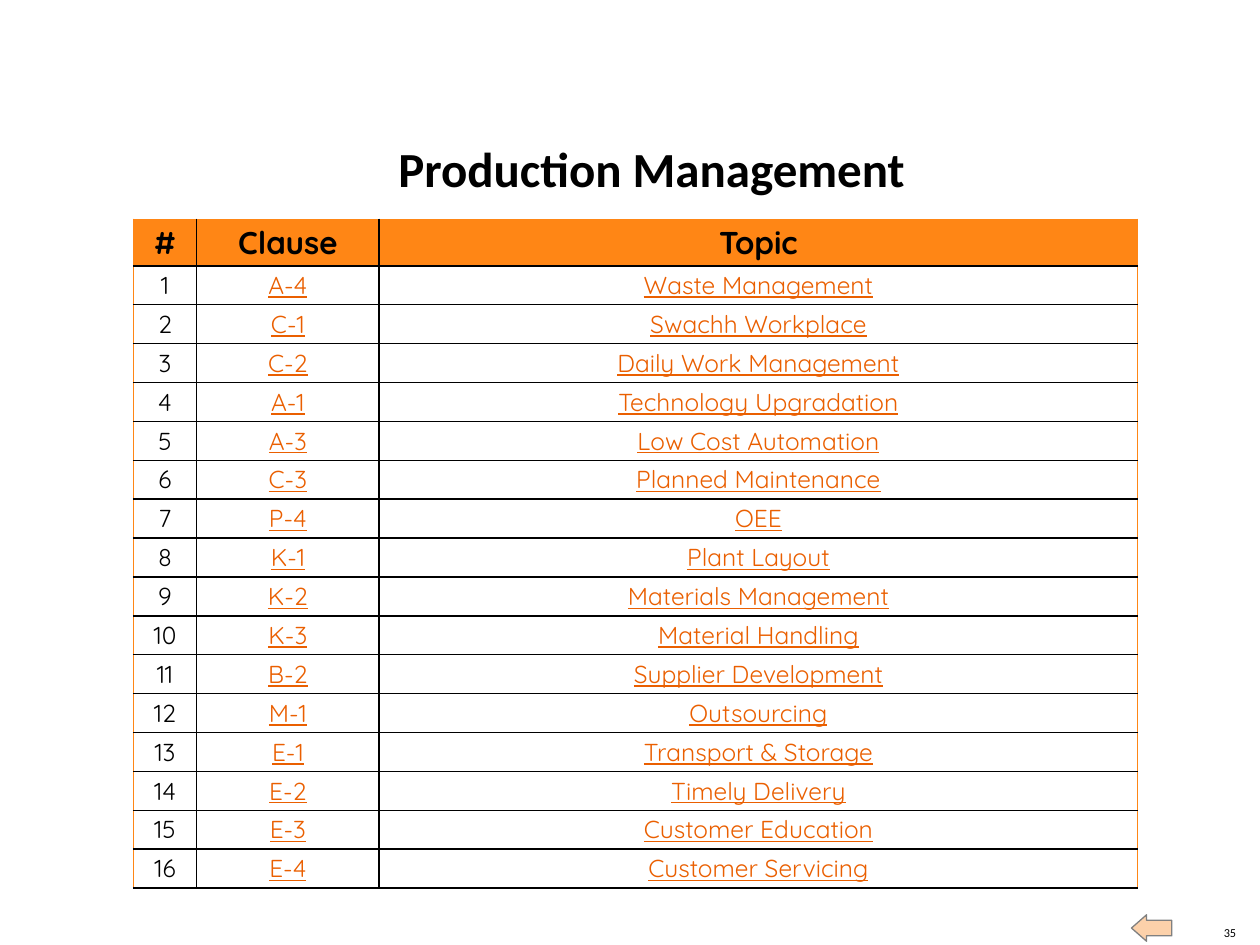
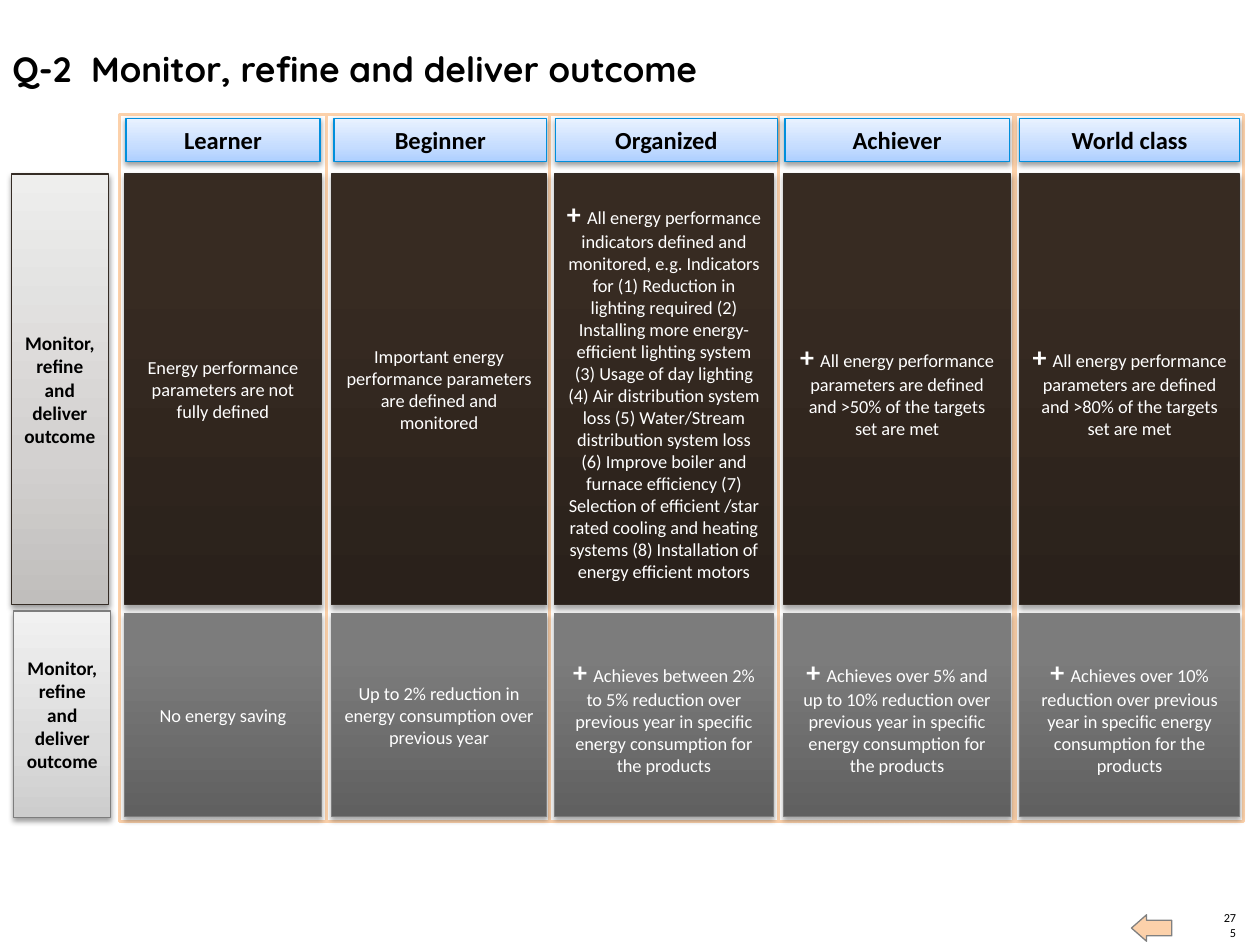
from dataclasses import dataclass

from pptx import Presentation
from pptx.dml.color import RGBColor
from pptx.enum.shapes import MSO_SHAPE as Preset
from pptx.enum.text import MSO_ANCHOR as Anchor, PP_ALIGN as Align
from pptx.oxml import parse_xml
from pptx.oxml.ns import nsdecls, qn
from pptx.util import Emu, Pt

PX = 9144  # one px is a hundredth of an inch


@dataclass(frozen=True)
class Theme:
    body_font: str = "Calibri"
    display_font: str = "Quicksand"
    black: str = "000000"
    white: str = "FFFFFF"
    orange: str = "FF8615"
    link: str = "EA5F00"
    peach: str = "FCD1AA"
    arrow_line: str = "808080"
    blue_line: str = "008FDC"
    brown_line: str = "352C25"
    gray_line: str = "7D7D7D"
    # gradients run from bottom to top: (percent, colour)
    blue: tuple = ((0, "AECFFF"), (35, "C6DDFF"), (100, "E9F2FF"))
    brown: tuple = ((0, "2A211B"), (80, "372B22"), (100, "372B22"))
    brown_pale: tuple = ((0, "C0BEBC"), (35, "D3D1D0"), (100, "EEEEED"))
    gray: tuple = ((0, "606060"), (80, "7C7C7C"), (100, "7D7D7D"))
    gray_pale: tuple = ((0, "CDCDCD"), (35, "DBDBDB"), (100, "F1F1F1"))
    # shadows: (opacity percent, distance in EMU)
    soft_shadow: tuple = (38, 20000)
    card_shadow: tuple = (35, 23000)
    title_size: float = 28
    clause_size: float = 20
    table_head_size: float = 18
    plus_size: float = 16
    table_size: float = 14
    level_size: float = 14
    side_size: float = 11
    card_size: float = 10.5
    page_size: float = 7


theme = Theme()


def write(frame, text, *, size, font=theme.body_font, color=theme.black, bold=False,
          underline=False, align=Align.CENTER, anchor=Anchor.MIDDLE, inset=None):
    """Fill a text frame with one paragraph; a leading "+ " becomes a large bold run."""
    frame.word_wrap = True
    frame.vertical_anchor = anchor
    if inset is not None:
        frame.margin_left = frame.margin_right = Emu(inset * PX)
        frame.margin_top = frame.margin_bottom = Emu(inset * PX)
    paragraph = frame.paragraphs[0]
    paragraph.alignment = align
    runs = [(text, size, bold)]
    if text.startswith("+ "):
        runs = [("+ ", theme.plus_size, True), (text[2:], size, bold)]
    for run_text, run_size, run_bold in runs:
        run = paragraph.add_run()
        run.text = run_text
        run.font.name = font
        run.font.size = Pt(run_size)
        run.font.bold = run_bold
        run.font.underline = underline
        run.font.color.rgb = RGBColor.from_string(color)


def add_box(slide, box, fill, line=None, line_width=0.75, shadow=None, preset=Preset.RECTANGLE):
    """Add a shape whose fill is one colour or a tuple of gradient stops."""
    shape = slide.shapes.add_shape(preset, *[Emu(value * PX) for value in box])
    shape.shadow.inherit = False
    properties = shape.element.spPr
    if isinstance(fill, str):
        shape.fill.solid()
        shape.fill.fore_color.rgb = RGBColor.from_string(fill)
    else:
        stops = "".join(f'<a:gs pos="{percent * 1000}"><a:srgbClr val="{color}"/></a:gs>'
                        for percent, color in fill)
        properties.find(qn("a:prstGeom")).addnext(parse_xml(
            f'<a:gradFill {nsdecls("a")} rotWithShape="1"><a:gsLst>{stops}</a:gsLst>'
            '<a:lin ang="16200000" scaled="0"/></a:gradFill>'))
    if line:
        shape.line.color.rgb = RGBColor.from_string(line)
        shape.line.width = Pt(line_width)
    else:
        shape.line.fill.background()
    if shadow:
        opacity, distance = shadow
        properties.find(qn("a:effectLst")).append(parse_xml(
            f'<a:outerShdw {nsdecls("a")} blurRad="40000" dist="{distance}" dir="5400000" '
            f'rotWithShape="0"><a:srgbClr val="{theme.black}"><a:alpha val="{opacity * 1000}"/>'
            '</a:srgbClr></a:outerShdw>'))
    return shape


presentation = Presentation()
presentation.slide_width = Emu(1000 * PX)
presentation.slide_height = Emu(750 * PX)

# Shared footer: page number and back arrow
slides = []
for page_number in ("35", "275"):
    slide = presentation.slides.add_slide(presentation.slide_layouts[6])
    page_box = slide.shapes.add_textbox(*[Emu(value * PX) for value in (969, 734, 12, 12)])
    write(page_box.text_frame, page_number, size=theme.page_size, align=Align.RIGHT,
          anchor=Anchor.BOTTOM, inset=0)
    back_arrow = add_box(slide, (898, 726, 32, 21), theme.peach, theme.arrow_line,
                         preset=Preset.RIGHT_ARROW)
    back_arrow.rotation = 180
    back_arrow.adjustments[0] = 0.59
    back_arrow.adjustments[1] = 0.57
    slides.append(slide)
topics_slide, levels_slide = slides

# Slide 1: clauses of production management
clauses = [
    ("A-4", "Waste Management"),
    ("C-1", "Swachh Workplace"),
    ("C-2", "Daily Work Management"),
    ("A-1", "Technology Upgradation"),
    ("A-3", "Low Cost Automation"),
    ("C-3", "Planned Maintenance"),
    ("P-4", "OEE"),
    ("K-1", "Plant Layout"),
    ("K-2", "Materials Management"),
    ("K-3", "Material Handling"),
    ("B-2", "Supplier Development"),
    ("M-1", "Outsourcing"),
    ("E-1", "Transport & Storage"),
    ("E-2", "Timely Delivery"),
    ("E-3", "Customer Education"),
    ("E-4", "Customer Servicing"),
]
table_rows = [("#", "Clause", "Topic")]
table_rows += [(str(number), *clause) for number, clause in enumerate(clauses, 1)]
column_widths = (50, 145, 602)
table_height, header_height = 531, 37
row_height = (table_height - header_height) / len(clauses)

table = topics_slide.shapes.add_table(
    len(table_rows), len(column_widths), Emu(106 * PX), Emu(174 * PX),
    Emu(sum(column_widths) * PX), Emu(table_height * PX)).table
table.first_row = table.horz_banding = False
for column, width in zip(table.columns, column_widths):
    column.width = Emu(width * PX)

for row_index, values in enumerate(table_rows):
    is_header = row_index == 0
    table.rows[row_index].height = Emu(int((header_height if is_header else row_height) * PX))
    for column_index, value in enumerate(values):
        cell = table.cell(row_index, column_index)
        cell.margin_left = cell.margin_right = Emu(7 * PX)
        cell.margin_top = cell.margin_bottom = Emu(3 * PX)
        cell.vertical_anchor = Anchor.MIDDLE
        cell.fill.solid()
        cell.fill.fore_color.rgb = RGBColor.from_string(theme.orange if is_header else theme.white)
        is_link = not is_header and column_index > 0
        write(cell.text_frame, value, font=theme.display_font, bold=is_header, underline=is_link,
              size=theme.table_head_size if is_header else theme.table_size,
              color=theme.link if is_link else theme.black)
        orange_edges = {"L": column_index == 0, "R": column_index == len(values) - 1,
                        "T": is_header, "B": False}
        cell_properties = cell._tc.get_or_add_tcPr()
        for position, (edge, is_orange) in enumerate(orange_edges.items()):
            color, width = (theme.orange, 9525) if is_orange else (theme.black, 12700)
            cell_properties.insert(position, parse_xml(
                f'<a:ln{edge} {nsdecls("a")} w="{width}"><a:solidFill>'
                f'<a:srgbClr val="{color}"/></a:solidFill></a:ln{edge}>'))

title_box = add_box(topics_slide, (209, 110, 616, 47), theme.white)
write(title_box.text_frame, "Production Management", size=theme.title_size, bold=True,
      anchor=Anchor.BOTTOM, inset=0)

# Slide 2: maturity levels of clause Q-2
clause_box = levels_slide.shapes.add_textbox(*[Emu(value * PX) for value in (0, 33, 860, 44)])
write(clause_box.text_frame, "Q-2  Monitor, refine and deliver outcome", size=theme.clause_size,
      font=theme.display_font, bold=True, align=Align.LEFT, anchor=Anchor.TOP)

# level name, then (left, width) of its frame, header and cards
levels = [
    ("Learner", (95, 164), (100, 154), (99, 156)),
    ("Beginner", (259, 179), (265, 169), (263, 171)),
    ("Organized", (436, 182), (441, 176), (440, 174)),
    ("Achiever", (618, 187), (623, 178), (622, 180)),
    ("World class", (806, 181), (809, 175), (809, 175)),
]
for level, (frame_left, frame_width), (header_left, header_width), card_span in levels:
    add_box(levels_slide, (frame_left, 91, frame_width, 561), theme.white, theme.peach, 2)
for level, frame_span, (header_left, header_width), card_span in levels:
    header = add_box(levels_slide, (header_left, 94, header_width, 34), theme.blue,
                     theme.blue_line, shadow=theme.soft_shadow)
    write(header.text_frame, level, size=theme.level_size, bold=True)

# side label box, its gradient, card top and height, card gradient, line, card texts
criteria = [
    ((9, 138, 77, 342), theme.brown_pale, 138, 342, theme.brown, theme.brown_line, [
        "Energy performance parameters are not fully defined",
        "Important energy performance parameters are defined and monitored",
        "+ All energy performance indicators defined and monitored, e.g. Indicators for "
        "(1) Reduction in lighting required (2) Installing more energy-efficient lighting system "
        "(3) Usage of day lighting (4) Air distribution system loss "
        "(5) Water/Stream distribution system loss (6) Improve boiler and furnace efficiency "
        "(7) Selection of efficient /star rated cooling and heating systems "
        "(8) Installation of energy efficient motors",
        "+ All energy performance parameters are defined and >50% of the targets set are met",
        "+ All energy performance parameters are defined and >80% of the targets set are met",
    ]),
    ((11, 485, 77, 164), theme.gray_pale, 487, 161, theme.gray, theme.gray_line, [
        "No energy saving",
        "Up to 2% reduction in energy consumption over previous year",
        "+ Achieves between 2% to 5% reduction over previous year in specific energy "
        "consumption for the products",
        "+ Achieves over 5% and up to 10% reduction over previous year in specific energy "
        "consumption for the products",
        "+ Achieves over 10% reduction over previous year in specific energy "
        "consumption for the products",
    ]),
]
for side_box, side_fill, card_top, card_height, card_fill, line, card_texts in criteria:
    side_label = add_box(levels_slide, side_box, side_fill, line, shadow=theme.soft_shadow)
    write(side_label.text_frame, "Monitor, refine and deliver outcome",
          size=theme.side_size, bold=True)
    for (level, frame_span, header_span, (card_left, card_width)), text in zip(levels, card_texts):
        card = add_box(levels_slide, (card_left, card_top, card_width, card_height), card_fill,
                       line, shadow=theme.card_shadow)
        write(card.text_frame, text, size=theme.card_size, color=theme.white)

presentation.save("out.pptx")
